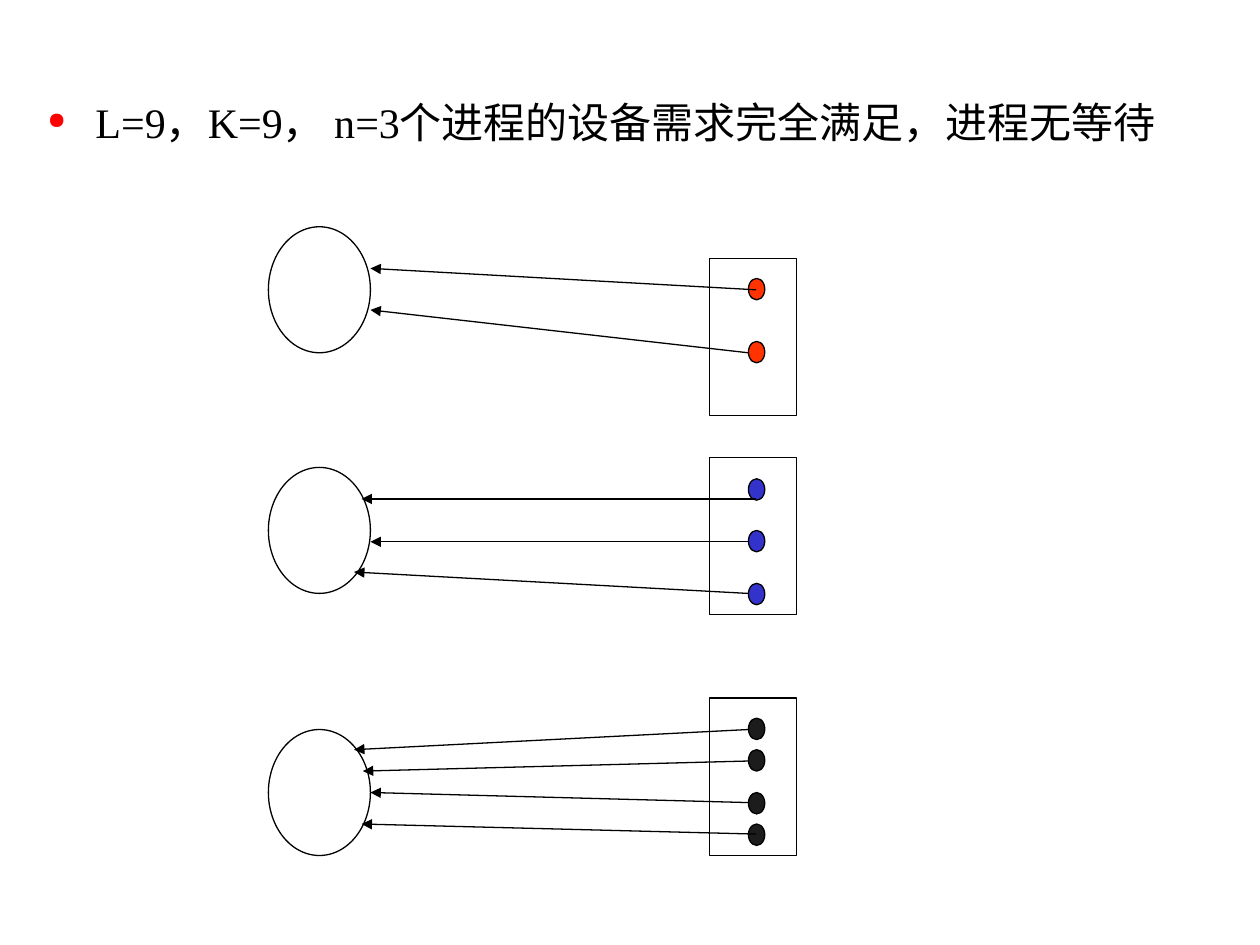
from dataclasses import dataclass

from lxml import etree
from pptx import Presentation
from pptx.dml.color import RGBColor
from pptx.enum.shapes import MSO_CONNECTOR, MSO_SHAPE
from pptx.oxml.ns import qn
from pptx.util import Inches, Pt

OVAL = MSO_SHAPE.OVAL
RECTANGLE = MSO_SHAPE.RECTANGLE
STRAIGHT = MSO_CONNECTOR.STRAIGHT


@dataclass(frozen=True)
class Theme:
    font: str = "Times New Roman"
    text_size: float = 24
    line_width: float = 0.75
    ink: str = "000000"
    bullet: str = "FF0000"
    first: str = "FF3300"
    second: str = "3333CC"
    third: str = "1C1C1C"


THEME = Theme()
PROCESS_LEFT, PROCESS_WIDTH, PROCESS_HEIGHT = 2.13, 0.81, 1
POOL_LEFT, POOL_WIDTH, POOL_HEIGHT = 5.63, 0.69, 1.25
DEVICE_LEFT, DEVICE_WIDTH, DEVICE_HEIGHT = 5.94, 0.13, 0.17
DEVICE_CENTER = 6

GROUPS = [
    (1.8, 2.05, THEME.first, [2.21, 2.71],
     [((DEVICE_CENTER, 2.3), (2.94, 2.13)),
      ((DEVICE_LEFT, 2.8), (2.94, 2.46))]),
    (3.71, 3.63, THEME.second, [3.8, 4.21, 4.63],
     [((DEVICE_CENTER, 3.96), (2.87, 3.96)),
      ((DEVICE_LEFT, 4.3), (2.94, 4.3)),
      ((DEVICE_LEFT, 4.71), (2.81, 4.54))]),
    (5.79, 5.54, THEME.third, [5.7, 5.95, 6.29, 6.54],
     [((DEVICE_LEFT, 5.79), (2.81, 5.95)),
      ((DEVICE_LEFT, 6.04), (2.88, 6.12)),
      ((DEVICE_LEFT, 6.37), (2.94, 6.29)),
      ((DEVICE_CENTER, 6.62), (2.87, 6.54))]),
]


def add_bullet(paragraph, color, percent, indent):
    properties = paragraph._p.get_or_add_pPr()
    properties.set("marL", str(Inches(indent)))
    properties.set("indent", str(-Inches(indent)))
    bullet_color = etree.SubElement(properties, qn("a:buClr"))
    etree.SubElement(bullet_color, qn("a:srgbClr"), val=color)
    etree.SubElement(properties, qn("a:buSzPct"), val=str(percent * 1000))
    etree.SubElement(properties, qn("a:buChar"), char="●")


def add_text(slide, text, *, left, top, width, height, size, color, spacing):
    frame = slide.shapes.add_textbox(
        Inches(left), Inches(top), Inches(width), Inches(height)).text_frame
    frame.word_wrap = True
    paragraph = frame.paragraphs[0]
    paragraph.text = text
    add_bullet(paragraph, THEME.bullet, percent=55, indent=0.38)
    paragraph.line_spacing = spacing
    paragraph.font.name = THEME.font
    paragraph.font.size = Pt(size)
    paragraph.font.color.rgb = RGBColor.from_string(color)


def style_line(line):
    line.color.rgb = RGBColor.from_string(THEME.ink)
    line.width = Pt(THEME.line_width)


def add_outline(slide, kind, left, top, width, height, fill=None):
    shape = slide.shapes.add_shape(
        kind, Inches(left), Inches(top), Inches(width), Inches(height))
    shape.shadow.inherit = False
    if fill:
        shape.fill.solid()
        shape.fill.fore_color.rgb = RGBColor.from_string(fill)
    else:
        shape.fill.background()
    style_line(shape.line)


def add_arrow(slide, start, end):
    arrow = slide.shapes.add_connector(
        STRAIGHT, *(Inches(value) for value in (*start, *end)))
    style_line(arrow.line)
    etree.SubElement(arrow.line._get_or_add_ln(), qn("a:tailEnd"), type="triangle")
    etree.SubElement(arrow._element.spPr, qn("a:effectLst"))


def add_group(slide, process_top, pool_top, color, device_tops, arrows):
    add_outline(slide, OVAL, PROCESS_LEFT, process_top, PROCESS_WIDTH, PROCESS_HEIGHT)
    add_outline(slide, RECTANGLE, POOL_LEFT, pool_top, POOL_WIDTH, POOL_HEIGHT)
    for top in device_tops:
        add_outline(slide, OVAL, DEVICE_LEFT, top, DEVICE_WIDTH, DEVICE_HEIGHT, color)
    for start, end in arrows:
        add_arrow(slide, start, end)


def main():
    presentation = Presentation()
    presentation.slide_width = Inches(10)
    presentation.slide_height = Inches(7.5)
    slide = presentation.slides.add_slide(presentation.slide_layouts[6])
    add_text(slide, "L=9，K=9， n=3个进程的设备需求完全满足，进程无等待",
             left=0.28, top=0.58, width=9.44, height=5.84,
             size=THEME.text_size, color=THEME.ink, spacing=1.35)
    for group in GROUPS:
        add_group(slide, *group)
    presentation.save("out.pptx")


if __name__ == "__main__":
    main()
